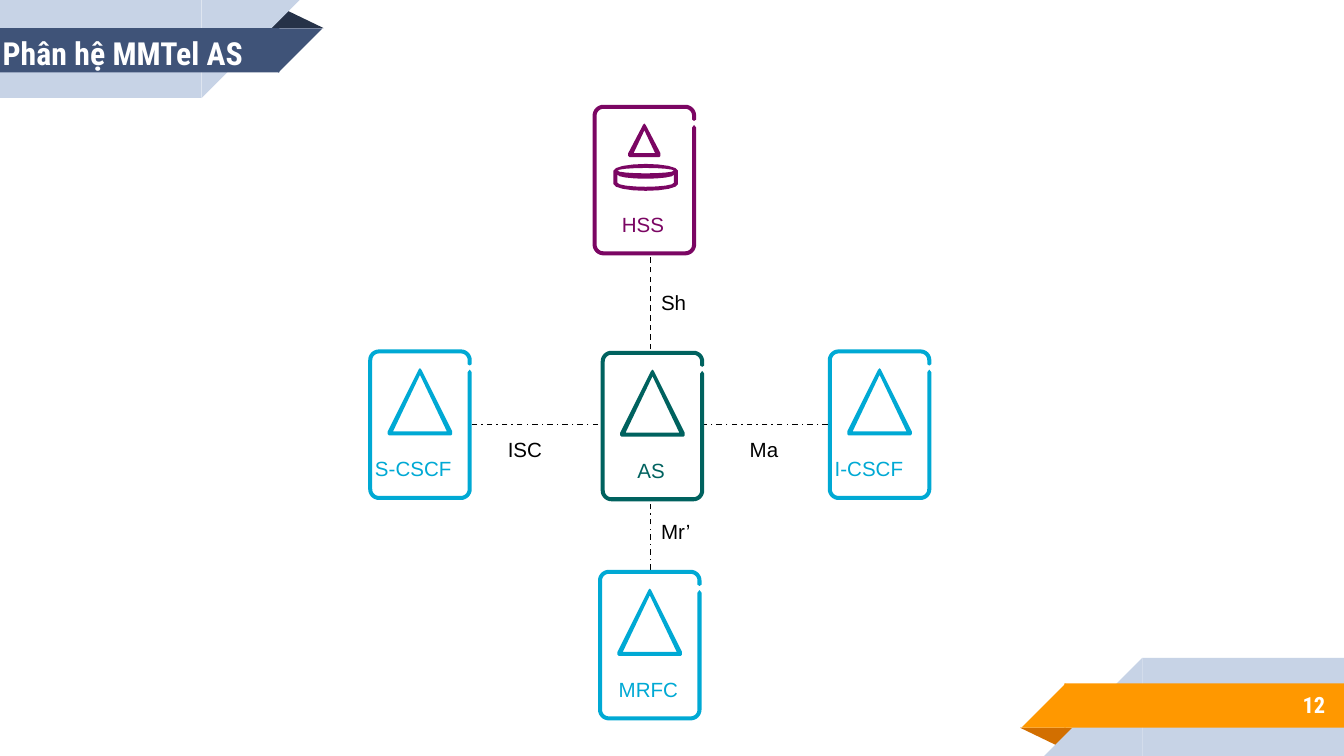
from dataclasses import dataclass
from math import cos, radians, sin

from lxml.etree import SubElement
from pptx import Presentation
from pptx.dml.color import RGBColor
from pptx.enum.dml import MSO_LINE
from pptx.enum.shapes import MSO_CONNECTOR, MSO_SHAPE
from pptx.enum.text import MSO_ANCHOR, MSO_AUTO_SIZE, PP_ALIGN
from pptx.oxml.ns import qn
from pptx.util import Inches, Pt


@dataclass(frozen=True)
class Theme:
    heading_font: str = "Roboto Condensed"
    body_font: str = "Arial"
    title_size: int = 17
    number_size: int = 12
    label_size: int = 11
    white: str = "FFFFFF"
    black: str = "000000"
    pale: str = "C7D3E6"
    navy: str = "3F5378"
    dark_navy: str = "263248"
    orange: str = "FF9800"
    dark_orange: str = "D26F00"
    cyan: str = "00A9D4"
    purple: str = "7B0663"
    green: str = "00625F"


THEME = Theme()
SLIDE_WIDTH = 10
SLIDE_HEIGHT = SLIDE_WIDTH * 9 / 16
NODE_WIDTH, NODE_HEIGHT = 0.77, 1.12
NODE_CENTER = NODE_WIDTH / 2


def paint(shape, color):
    shape.shadow.inherit = False
    shape.fill.solid()
    shape.fill.fore_color.rgb = RGBColor.from_string(color)
    shape.line.fill.background()


def write(shape, text, size, color, font=THEME.body_font, bold=False,
          align=PP_ALIGN.LEFT, anchor=MSO_ANCHOR.TOP, wrap=True, margin=None,
          auto_size=MSO_AUTO_SIZE.SHAPE_TO_FIT_TEXT):
    frame = shape.text_frame
    frame.text = text
    frame.word_wrap = wrap
    frame.auto_size = auto_size
    frame.vertical_anchor = anchor
    if margin is not None:
        frame.margin_left = frame.margin_right = Inches(margin)
        frame.margin_top = frame.margin_bottom = Inches(margin)
    paragraph = frame.paragraphs[0]
    paragraph.alignment = align
    run_font = paragraph.runs[0].font
    run_font.name, run_font.size, run_font.bold = font, Pt(size), bold
    run_font.color.rgb = RGBColor.from_string(color)
    return paragraph


def add_text(shapes, box, *args, **options):
    return write(shapes.add_textbox(*map(Inches, box)), *args, **options)


def add_ribbon(slide, band_color, fold_color, at_bottom=False):
    """Place the ribbon at the top left, or turned half round at the bottom right."""
    group = slide.shapes.add_group_shape()
    parts = [
        (MSO_SHAPE.ISOSCELES_TRIANGLE, (1.98, 0.07, 0.43, 0.14), fold_color),
        (MSO_SHAPE.RECTANGLE, (0, 0, 1.5, 0.73), THEME.pale),
        (MSO_SHAPE.RIGHT_TRIANGLE, (1.5, 0, 0.73, 0.73), THEME.pale),
        (MSO_SHAPE.RECTANGLE, (0, 0.21, 2.08, 0.33), band_color),
        (MSO_SHAPE.RIGHT_TRIANGLE, (2.07, 0.21, 0.33, 0.33), band_color),
    ]
    for kind, (left, top, width, height), color in parts:
        if at_bottom:
            left = SLIDE_WIDTH - left - width
            top = SLIDE_HEIGHT - top - height
        shape = group.shapes.add_shape(kind, *map(Inches, (left, top, width, height)))
        paint(shape, color)
        if kind == MSO_SHAPE.ISOSCELES_TRIANGLE:
            shape.adjustments[0] = 0.324
            shape.rotation = 180 if at_bottom else 0
        elif kind == MSO_SHAPE.RIGHT_TRIANGLE:
            shape.element.spPr.xfrm.set("flipH", "1")
            shape.rotation = 0 if at_bottom else 180


def arc(x, y, radius_x, radius_y, start, end, steps=8):
    angles = [radians(start + (end - start) * i / steps) for i in range(steps + 1)]
    return [(x + radius_x * cos(a), y + radius_y * sin(a)) for a in angles]


def frame_edge(inset, radius):
    """Rounded edge running from above to below the gap in the right side."""
    near, right, bottom = inset + radius, NODE_WIDTH - inset, NODE_HEIGHT - inset
    far_x, far_y = right - radius, bottom - radius
    corners = [(far_x, near, 0), (near, near, -90), (near, far_y, -180), (far_x, far_y, -270)]
    points = [(right, 0.11)]
    for x, y, start in corners:
        points += arc(x, y, radius, radius, start, start - 90)
    return points + [(right, 0.17)]


def triangle(half, bottom, top=0.14):
    """Outer contour with blunt corners, and the hole inside it."""
    side = [(0, top), (0.01, top + 0.01), (half, bottom - 0.03),
            (half, bottom - 0.01), (half - 0.01, bottom)]
    outer = [(NODE_CENTER + x, y) for x, y in side]
    outer += [(NODE_CENTER - x, y) for x, y in reversed(side[1:])]
    hole = [(NODE_CENTER, top + 0.05), (NODE_CENTER + half - 0.04, bottom - 0.03),
            (NODE_CENTER - half + 0.04, bottom - 0.03)]
    return [outer, hole]


def disk():
    x = NODE_CENTER + 0.01
    return [
        arc(x, 0.49, 0.24, 0.05, 180, 360) + arc(x, 0.59, 0.24, 0.05, 0, 180),
        arc(x, 0.49, 0.21, 0.02, 0, 360, 16),
        arc(x, 0.52, 0.21, 0.03, 180, 0) + arc(x, 0.58, 0.21, 0.03, 0, 180),
    ]


def add_outline(shapes, left, top, contours, color):
    builder = None
    for contour in contours:
        points = [(Inches(left + x), Inches(top + y)) for x, y in contour]
        if builder is None:
            builder = shapes.build_freeform(*points[0])
        else:
            builder.move_to(*points[0])
        builder.add_line_segments(points[1:], close=True)
    paint(builder.convert_to_shape(), color)


def add_node(slide, left, top, name, color, align=PP_ALIGN.CENTER, panel=False, database=False):
    shapes = slide.shapes.add_group_shape().shapes
    if panel:
        add_outline(shapes, left, top, [frame_edge(0.02, 0.06)], THEME.white)
    middle = NODE_WIDTH - 0.015
    border = frame_edge(0, 0.08) + [(middle, 0.15)] + frame_edge(0.03, 0.05)[::-1] + [(middle, 0.12)]
    symbol = triangle(0.12, 0.39) + disk() if database else triangle(0.24, 0.64)
    add_outline(shapes, left, top, [border] + symbol, color)
    paragraph = add_text(shapes, (left + 0.05, top + 0.83, 0.65, 0.15), name, THEME.label_size,
                         color, align=align, anchor=MSO_ANCHOR.MIDDLE, margin=0)
    paragraph.line_spacing = 0.8


def add_link(slide, start, end, name, label_box, dash=MSO_LINE.DASH_DOT):
    connector = slide.shapes.add_connector(MSO_CONNECTOR.STRAIGHT, *map(Inches, start + end))
    connector.line.color.rgb = RGBColor.from_string(THEME.black)
    connector.line.width = Pt(0.75)
    connector.line.dash_style = dash
    SubElement(connector.element.spPr, qn("a:effectLst"))
    add_text(slide.shapes, label_box, name, THEME.label_size, THEME.black, wrap=False)


def add_network(slide):
    add_node(slide, 6.16, 2.6, "I-CSCF", THEME.cyan, PP_ALIGN.LEFT, panel=True)
    add_link(slide, (6.16, 3.16), (5.22, 3.16), "Ma", (5.48, 3.2, 0.42, 0.29))
    add_node(slide, 2.74, 2.6, "S-CSCF", THEME.cyan, PP_ALIGN.LEFT, panel=True)
    add_link(slide, (4.45, 3.16), (3.51, 3.16), "ISC", (3.68, 3.2, 0.46, 0.29))
    add_node(slide, 4.41, 0.78, "HSS", THEME.purple, database=True)
    add_link(slide, (4.84, 2.6), (4.84, 1.9), "Sh", (4.82, 2.11, 0.39, 0.29), MSO_LINE.DASH)
    add_link(slide, (4.84, 4.24), (4.84, 3.72), "Mr’", (4.82, 3.81, 0.42, 0.29))
    add_node(slide, 4.45, 4.24, "MRFC", THEME.cyan, panel=True)
    add_node(slide, 4.47, 2.61, "AS", THEME.green)


def add_title(slide, box, text):
    title = slide.shapes.title
    title.left, title.top, title.width, title.height = map(Inches, box)
    write(title, text, THEME.title_size, THEME.white, THEME.heading_font, bold=True)
    title.element.getparent().append(title.element)  # in front of the ribbon


def main():
    presentation = Presentation()
    presentation.slide_width = Inches(SLIDE_WIDTH)
    presentation.slide_height = Inches(SLIDE_HEIGHT)
    slide = presentation.slides.add_slide(presentation.slide_layouts[5])
    add_ribbon(slide, THEME.orange, THEME.dark_orange, at_bottom=True)
    add_ribbon(slide, THEME.navy, THEME.dark_navy)
    add_title(slide, (-0.08, 0.2, 2.47, 0.39), "Phân hệ MMTel AS")
    add_network(slide)
    add_text(slide.shapes, (8.33, 5.07, 1.63, 0.35), "12", THEME.number_size, THEME.white,
             THEME.heading_font, bold=True, align=PP_ALIGN.RIGHT, anchor=MSO_ANCHOR.MIDDLE,
             margin=0.1, auto_size=MSO_AUTO_SIZE.NONE)
    presentation.save("out.pptx")


if __name__ == "__main__":
    main()
